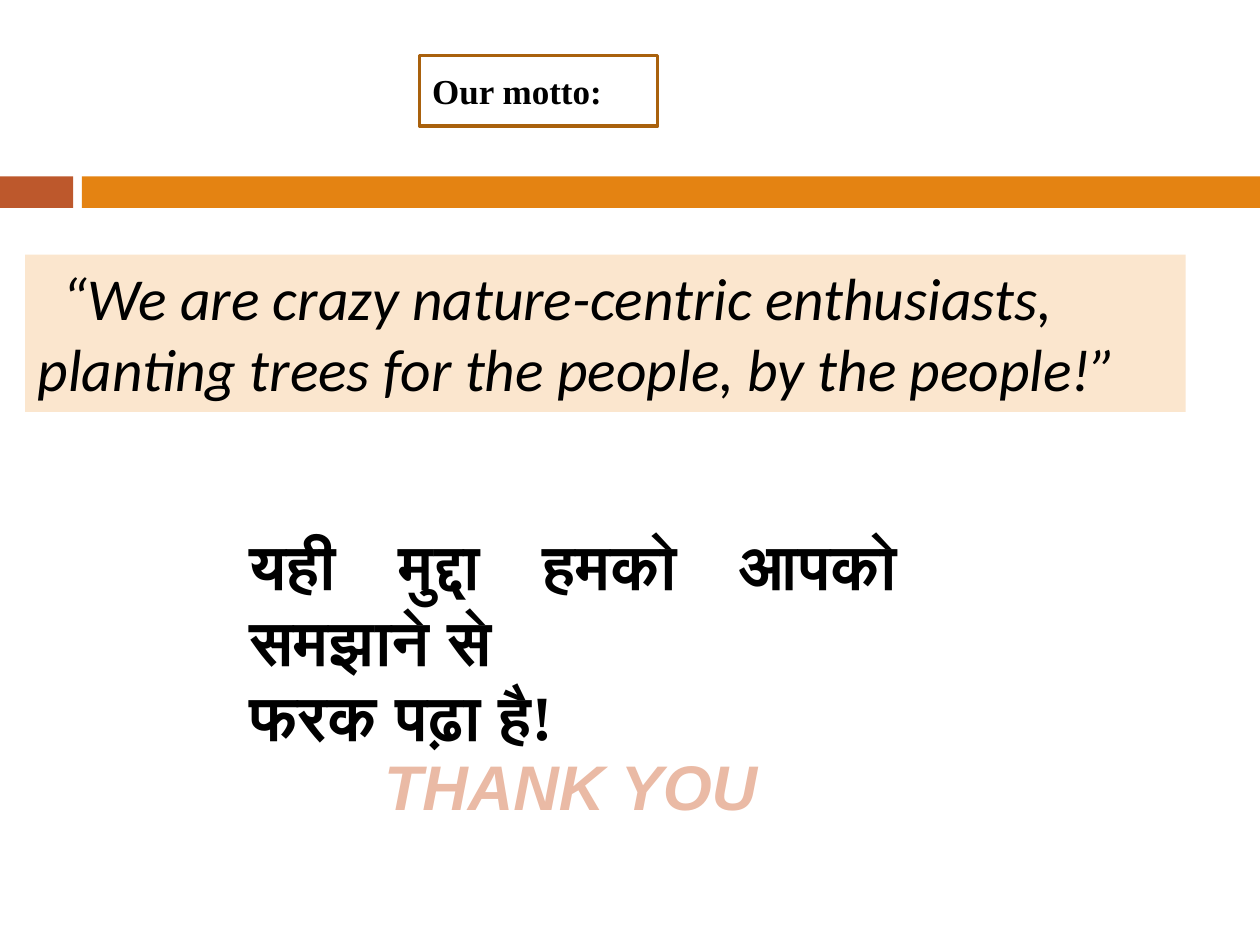
from pptx import Presentation
from pptx.dml.color import RGBColor
from pptx.enum.shapes import MSO_SHAPE
from pptx.enum.text import MSO_ANCHOR, PP_ALIGN
from pptx.util import Inches, Pt

BANDS = [((0, 1.4, 0.58, 0.25), "BD582C"), ((0.65, 1.4, 9.35, 0.25), "E48312")]
MOTTO_TITLE = ["Our motto:"]
QUOTE = ["“We are crazy nature-centric enthusiasts,\vplanting trees for the people, by the people!”"]
SLOGAN = ["यही मुद्दा हमको आपको समझाने से", "फरक पढ़ा है!"]
CLOSING = ["THANK YOU"]


def color(value):
    return RGBColor.from_string(value)


def place(shape, box):
    shape.left, shape.top, shape.width, shape.height = map(Inches, box)


def add_rectangle(slide, box, fill):
    shape = slide.shapes.add_shape(MSO_SHAPE.RECTANGLE, *map(Inches, box))
    shape.shadow.inherit = False
    shape.fill.solid()
    shape.fill.fore_color.rgb = color(fill)
    shape.line.fill.background()
    return shape


def write(shape, lines, size, font, fill="000000", bold=False, italic=False,
          align=PP_ALIGN.LEFT, anchor=MSO_ANCHOR.TOP, indent=0):
    frame = shape.text_frame
    frame.word_wrap = True
    frame.vertical_anchor = anchor
    frame.text = "\n".join(lines)
    for paragraph in frame.paragraphs:
        paragraph.alignment = align
        paragraph._p.get_or_add_pPr().set("indent", str(Inches(indent)))
        for run in paragraph.runs:
            run.font.size = Pt(size)
            run.font.name = font
            run.font.bold = bold
            run.font.italic = italic
            run.font.color.rgb = color(fill)


def main():
    """Build the closing motto slide."""
    presentation = Presentation()
    presentation.slide_width, presentation.slide_height = Inches(10), Inches(7.5)
    slide = presentation.slides.add_slide(presentation.slide_layouts[5])

    for box, fill in BANDS:
        add_rectangle(slide, box, fill)

    closing = slide.shapes.add_textbox(*map(Inches, (2.95, 5.88, 3.5, 0.71)))
    write(closing, CLOSING, 36, "Arial", fill="EABAA5", bold=True, italic=True)

    quote = add_rectangle(slide, (0.2, 2.02, 9.21, 1.25), "FBE6CE")
    write(quote, QUOTE, 34, "Calibri", italic=True, indent=0.2)

    slogan = slide.shapes.add_textbox(*map(Inches, (1.88, 4.13, 5.34, 1.31)))
    write(slogan, SLOGAN, 36, "Times New Roman", bold=True, align=PP_ALIGN.JUSTIFY)

    title = slide.shapes.title
    place(title, (3.33, 0.44, 1.89, 0.56))
    title.line.color.rgb = color("A9610D")
    title.line.width = Pt(2)
    write(title, MOTTO_TITLE, 20, "Times New Roman", bold=True, anchor=MSO_ANCHOR.MIDDLE)

    presentation.save("out.pptx")


if __name__ == "__main__":
    main()
